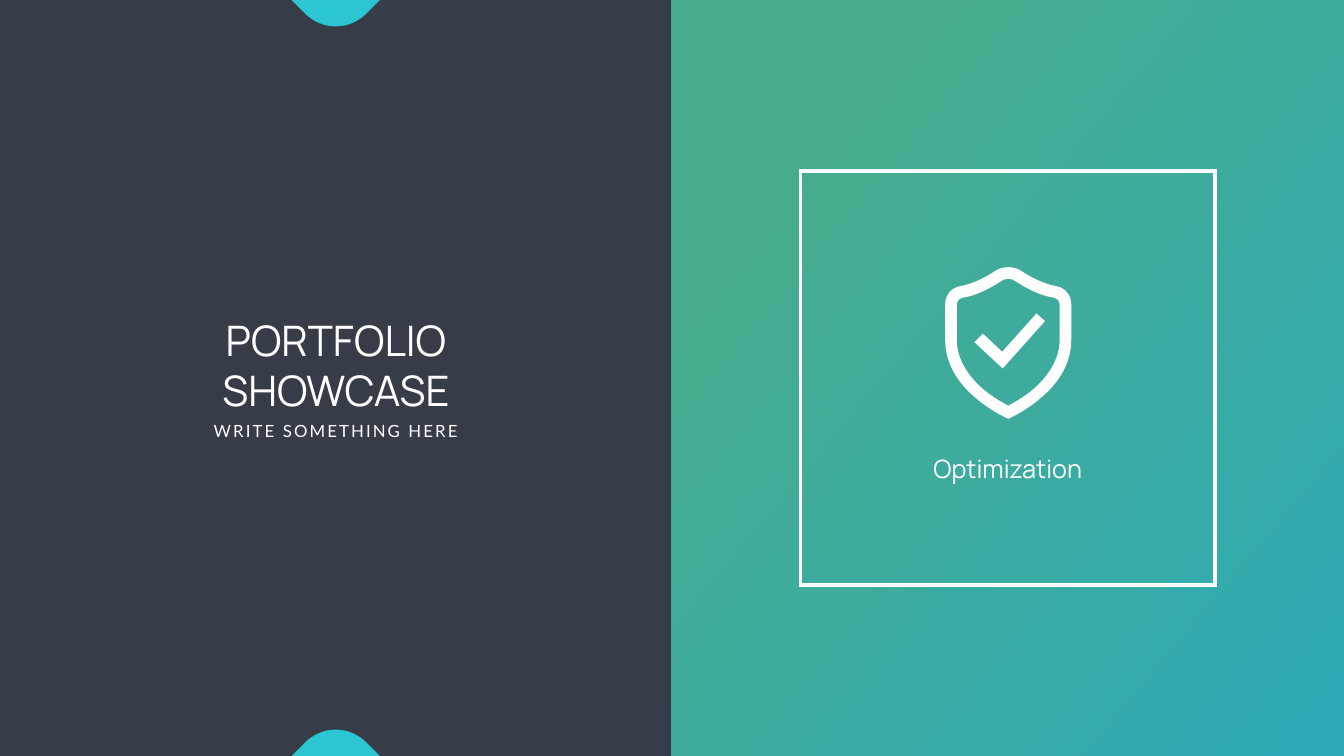
from lxml import etree
from pptx import Presentation
from pptx.dml.color import RGBColor
from pptx.enum.shapes import MSO_SHAPE
from pptx.enum.text import MSO_AUTO_SIZE, PP_ALIGN
from pptx.oxml.ns import qn
from pptx.util import Emu, Pt

RECTANGLE = MSO_SHAPE.RECTANGLE
CENTER = PP_ALIGN.CENTER
GROW = MSO_AUTO_SIZE.SHAPE_TO_FIT_TEXT

SCALE = 9144  # EMU per px, 100 px to the inch
WIDTH, HEIGHT = 2666, 1500
WHITE, DARK, CYAN, GREEN = "FFFFFF", "363D48", "2CC5D2", "4BC79F"

# Outlines: a pair of numbers is a corner; three pairs are a Bezier curve.
CHECK_MARK = [(1988, 698), (1950, 662), (1933, 679), (1989, 731),
              (2073, 637), (2056, 622)]
CAP_SIZE = 124
CAP = [(0, 0), (124, 124), (86, 124), ((38, 124), (0, 86), (0, 38))]

# Right halves of the shield: x is the distance from its axis.
SHIELD_AXIS = 2000
SHIELD_OUTER = [
    (0, 530), ((10, 530), (20, 533), (28, 539)),
    ((42, 548), (68, 563), (96, 568)), ((113, 571), (125, 586), (125, 603)),
    (125, 674), ((125, 698), (119, 720), (106, 742)),
    ((96, 759), (82, 775), (64, 790)), ((35, 815), (6, 828), (4, 829)),
    (0, 831),
]
SHIELD_INNER = [
    (0, 553), ((5, 553), (11, 555), (16, 559)),
    ((30, 568), (59, 586), (92, 591)), ((98, 593), (102, 597), (102, 603)),
    (102, 674), ((102, 709), (84, 742), (50, 772)),
    ((30, 789), (9, 800), (0, 805)),
]


def px(length):
    return Emu(round(length * SCALE))


def color(hex_value):
    return RGBColor.from_string(hex_value)


def points_of(part):
    return list(part) if len(part) == 3 else [part]


def moved(outline, dx, dy, sign=1):
    """The outline shifted, and flipped left to right if sign is -1."""
    result = []
    for part in outline:
        points = [(sign * x + dx, y + dy) for x, y in points_of(part)]
        result.append(tuple(points) if len(points) == 3 else points[0])
    return result


def mirrored(half, axis_x):
    way_back = []
    for previous, part in reversed(list(zip(half, half[1:]))):
        start = points_of(previous)[-1]
        way_back.append((part[1], part[0], start) if len(part) == 3 else start)
    return moved(half, axis_x, 0) + moved(way_back, axis_x, 0, -1)


def bend_curves(shape, contours):
    """Join the three line segments of each curve into one Bezier segment."""
    segments = iter(list(shape._element.iter(qn("a:lnTo"))))
    for contour in contours:
        for part in contour[1:]:
            segment = next(segments)
            if len(part) == 3:
                segment.tag = qn("a:cubicBezTo")
                for _ in range(2):
                    extra = next(segments)
                    segment.append(extra[0])
                    extra.getparent().remove(extra)


def add_outline(shapes, contours, fill, rotation=0):
    builder = None
    for contour in contours:
        points = [(px(x), px(y)) for part in contour for x, y in points_of(part)]
        if builder is None:
            builder = shapes.build_freeform(*points[0], scale=1.0)
        else:
            builder.move_to(*points[0])
        # The path returns to its start by the close command alone
        builder.add_line_segments(points[1:], close=True)
    shape = builder.convert_to_shape()
    for close in list(shape._element.iter(qn("a:close"))):
        last = close.getprevious()
        before = last.getprevious()
        if etree.tostring(last) == etree.tostring(before):
            last.getparent().remove(last)
    bend_curves(shape, contours)
    shape.shadow.inherit = False
    shape.fill.solid()
    shape.fill.fore_color.rgb = color(fill)
    shape.line.fill.background()
    shape.rotation = rotation


def add_rectangle(shapes, box):
    shape = shapes.add_shape(RECTANGLE, *map(px, box))
    shape.shadow.inherit = False
    return shape


def add_gradient_panel(shapes, box):
    shape = add_rectangle(shapes, box)
    shape.line.fill.background()
    shape.fill.gradient()
    shape.fill.gradient_angle = 320
    stops = ((0.22, GREEN), (0.99, CYAN))
    for stop, (position, hex_value) in zip(shape.fill.gradient_stops, stops):
        stop.position = position
        stop.color.rgb = color(hex_value)
    for element in shape._element.spPr.iter(qn("a:srgbClr")):
        etree.SubElement(element, qn("a:alpha"), val="80000")


def add_frame(shapes, box):
    shape = add_rectangle(shapes, box)
    shape.fill.background()
    shape.line.color.rgb = color(WHITE)
    shape.line.width = Pt(5)
    line = shape._element.spPr.find(qn("a:ln"))
    etree.SubElement(line, qn("a:miter"), lim="800000")


def add_label(shapes, box, text, font, wrap=True, line_spacing=None, tracking=None):
    frame = shapes.add_textbox(*map(px, box)).text_frame
    frame.word_wrap = wrap
    frame.auto_size = GROW
    paragraph = frame.paragraphs[0]
    paragraph.alignment = CENTER
    paragraph.line_spacing = line_spacing
    run = paragraph.add_run()
    run.text = text
    for name, value in font.items():
        setattr(run.font, name, value)
    run.font.color.rgb = color(WHITE)
    if tracking:
        run._r.get_or_add_rPr().set("spc", str(tracking * 100))


def main():
    presentation = Presentation()
    presentation.slide_width, presentation.slide_height = px(WIDTH), px(HEIGHT)
    slide = presentation.slides.add_slide(presentation.slide_layouts[6])
    slide.background.fill.solid()
    slide.background.fill.fore_color.rgb = color(DARK)
    shapes = slide.shapes

    # Right panel with its frame
    add_gradient_panel(shapes, (WIDTH // 2, 0, WIDTH // 2, HEIGHT))
    add_frame(shapes, (1588, 339, 822, 822))

    # Title and subtitle
    heading = shapes.add_group_shape().shapes
    add_label(heading, (383, 619, 567, 212), "PORTFOLIO SHOWCASE",
              {"name": "Manrope", "size": Pt(60)})
    add_label(heading, (409, 830, 514, 50), "WRITE SOMETHING HERE",
              {"name": "Lato", "size": Pt(24)}, wrap=False, tracking=3)

    # Rounded caps centred on the top and bottom edges
    for edge, rotation in ((0, 315), (HEIGHT, 135)):
        cap = moved(CAP, 604, edge - CAP_SIZE // 2)
        add_outline(shapes, [cap], CYAN, rotation)

    # Caption, and shield with check mark
    add_label(shapes, (1742, 898, 514, 70), "Optimization",
              {"name": "Manrope", "size": Pt(36)}, line_spacing=Pt(40.8))
    icon = shapes.add_group_shape().shapes
    add_outline(icon, [CHECK_MARK], WHITE)
    add_outline(icon, [mirrored(half, SHIELD_AXIS)
                       for half in (SHIELD_INNER, SHIELD_OUTER)], WHITE)

    presentation.save("out.pptx")


if __name__ == "__main__":
    main()
